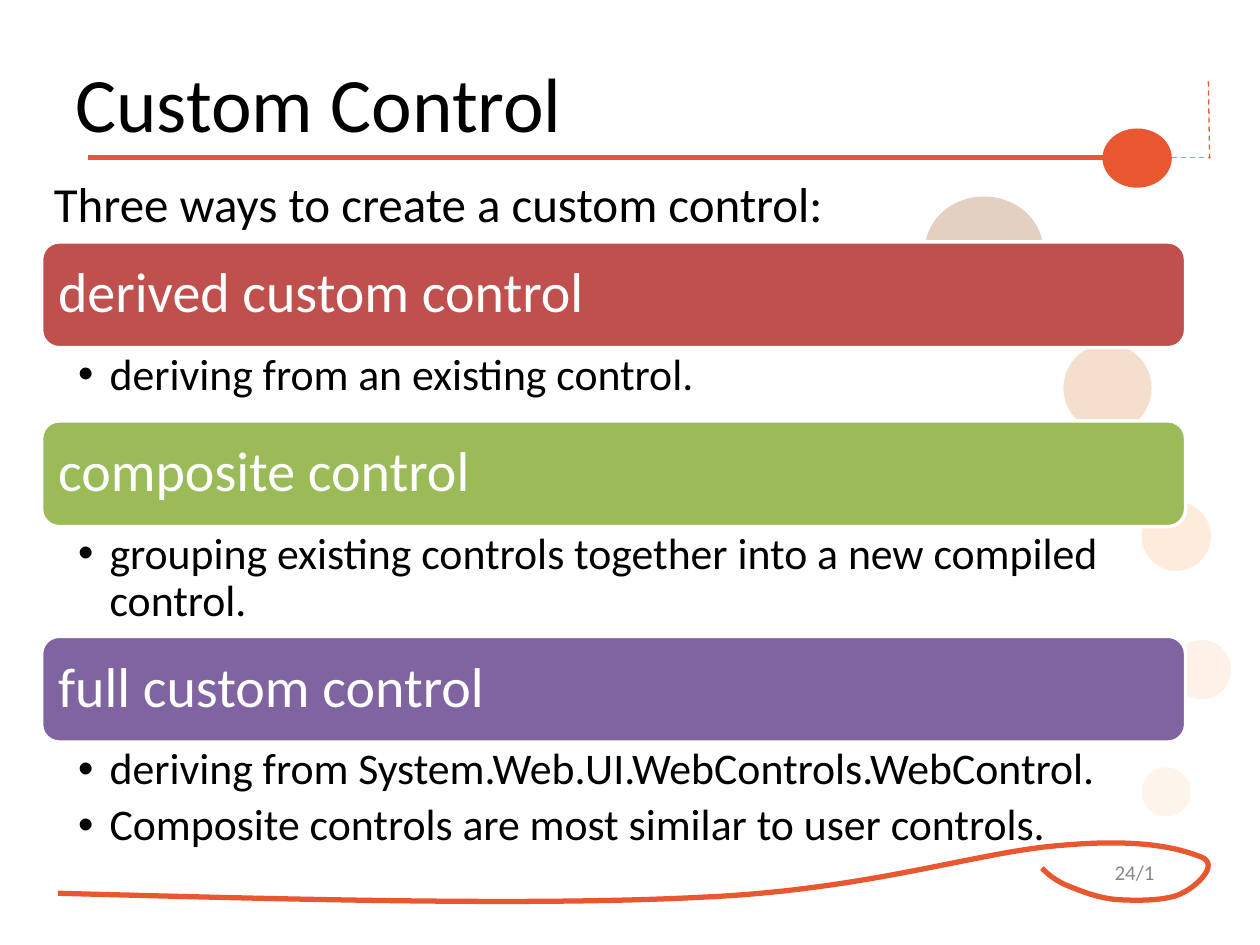
from lxml.etree import SubElement
from pptx import Presentation
from pptx.dml.color import RGBColor
from pptx.enum.dml import MSO_LINE
from pptx.enum.shapes import MSO_CONNECTOR, MSO_SHAPE
from pptx.enum.text import MSO_ANCHOR, MSO_AUTO_SIZE, PP_ALIGN
from pptx.oxml.ns import qn
from pptx.util import Emu, Pt

PX = 9144  # 100 px to the inch
FONT = "Calibri"
BLACK = RGBColor(0x00, 0x00, 0x00)
WHITE = RGBColor(0xFF, 0xFF, 0xFF)
GRAY = RGBColor(0x88, 0x88, 0x88)
ORANGE = RGBColor(0xE8, 0x57, 0x30)
AMBER = RGBColor(0xF6, 0x90, 0x3C)
RED = RGBColor(0xBF, 0x50, 0x4D)
GREEN = RGBColor(0x9B, 0xBB, 0x59)
PURPLE = RGBColor(0x80, 0x64, 0xA2)

# Left, top, width, height, colour, opacity in percent
DOTS = [
    (734, 156, 94, 86, RGBColor(0x90, 0x44, 0x06), 25),
    (844, 273, 70, 70, RGBColor(0xC8, 0x5F, 0x08), 20),
    (906, 398, 55, 55, RGBColor(0xF5, 0x7B, 0x17), 15),
    (930, 508, 47, 47, RGBColor(0xF6, 0x7B, 0x16), 10),
    (906, 609, 39, 39, RGBColor(0xF5, 0x95, 0x45), 10),
    (875, 102, 55, 47, ORANGE, 100),
]

# Start, then two handles and an end for each curve
SWIRL = [
    (46, 709),
    (236, 714), (426, 719), (559, 712),
    (691, 706), (776, 676), (842, 671),
    (908, 665), (937, 674), (953, 680),
    (969, 686), (949, 704), (938, 709),
    (927, 715), (902, 715), (887, 714),
    (871, 713), (855, 706), (845, 702),
    (835, 697), (831, 693), (827, 689),
]

# Heading, colour, body height, bullet points
WAYS = [
    ("derived custom control", RED, 58,
     ["deriving from an existing control."]),
    ("composite control", GREEN, 87,
     ["grouping existing controls together into a new compiled control."]),
    ("full custom control", PURPLE, 94,
     ["deriving from System.Web.UI.WebControls.WebControl.",
      "Composite controls are most similar to user controls."]),
]
LEFT, TOP, WIDTH, BAR = 33, 192, 908, 84


def emu(*sizes):
    return [Emu(size * PX) for size in sizes]


def write(shape, lines, size, color=BLACK, inset=(10, 5, 10, 5), align=PP_ALIGN.LEFT,
          anchor=MSO_ANCHOR.TOP, spacing=None, bullet=False):
    frame = shape.text_frame
    frame.word_wrap = True
    frame.vertical_anchor = anchor
    (frame.margin_left, frame.margin_top,
     frame.margin_right, frame.margin_bottom) = emu(*inset)
    for row, line in enumerate(lines):
        para = frame.add_paragraph() if row else frame.paragraphs[0]
        para.alignment = align
        para.line_spacing = spacing
        run = para.add_run()
        run.text = line
        run.font.name = FONT
        run.font.size = Pt(size)
        run.font.color.rgb = color
        if bullet:
            para.level = 1
            para.space_before = Pt(5 if row else 0)
            props = para._p.get_or_add_pPr()
            props.set("marL", str(25 * PX))
            props.set("indent", str(-25 * PX))
            SubElement(props, qn("a:buFont"), typeface="Arial")
            SubElement(props, qn("a:buChar"), char="•")


def add_text(slide, box, lines, size, **style):
    shape = slide.shapes.add_textbox(*emu(*box))
    write(shape, lines, size, **style)
    return shape


def add_dot(slide, left, top, width, height, color, alpha):
    dot = slide.shapes.add_shape(MSO_SHAPE.OVAL, *emu(left, top, width, height))
    dot.shadow.inherit = False
    dot.fill.solid()
    dot.fill.fore_color.rgb = color
    dot.line.fill.background()
    if alpha < 100:
        tint = dot._element.spPr.find(qn("a:solidFill"))[0]
        SubElement(tint, qn("a:alpha"), val=str(alpha * 1000))


def add_line(slide, ends, color, width, dash=None):
    line = slide.shapes.add_connector(MSO_CONNECTOR.STRAIGHT, *emu(*ends))
    line.line.color.rgb = color
    line.line.width = Pt(width)
    line.line.dash_style = dash
    SubElement(line._element.spPr, qn("a:effectLst"))


def add_curve(slide, points, color, width):
    pen = slide.shapes.build_freeform(*points[0], scale=PX)
    pen.add_line_segments(points[1:], close=False)
    curve = pen.convert_to_shape()
    curve.shadow.inherit = False
    curve.fill.background()
    curve.line.color.rgb = color
    curve.line.width = Pt(width)
    # Turn each three straight steps into one Bezier curve
    trace = curve._element.spPr.find(".//" + qn("a:path"))
    steps = trace.findall(qn("a:lnTo"))
    for start in range(0, len(steps), 3):
        bend = SubElement(trace, qn("a:cubicBezTo"))
        for step in steps[start:start + 3]:
            bend.append(step[0])
            trace.remove(step)


def add_bar(slide, top, label, color):
    bar = slide.shapes.add_shape(MSO_SHAPE.ROUNDED_RECTANGLE,
                                 *emu(LEFT, top, WIDTH, BAR))
    bar.shadow.inherit = False
    bar.adjustments[0] = 0.167
    bar.fill.solid()
    bar.fill.fore_color.rgb = color
    bar.line.color.rgb = WHITE
    bar.line.width = Pt(2)
    write(bar, [label], 32, color=WHITE, inset=(9, 9, 9, 9),
          anchor=MSO_ANCHOR.MIDDLE, spacing=0.9)


def main():
    deck = Presentation()
    deck.slide_width, deck.slide_height = emu(1000, 750)
    slide = deck.slides.add_slide(deck.slide_layouts[6])

    # Page number and decoration
    add_text(slide, (867, 672, 67, 40), ["24/1"], 12, color=GRAY,
             align=PP_ALIGN.CENTER, anchor=MSO_ANCHOR.MIDDLE)
    add_curve(slide, SWIRL, ORANGE, 3)
    add_line(slide, (70, 125, 875, 125), ORANGE, 3)
    for dot in DOTS:
        add_dot(slide, *dot)
    add_line(slide, (930, 125, 961, 125), AMBER, 0.75, MSO_LINE.DASH)
    add_line(slide, (960, 126, 959, 62), ORANGE, 0.75, MSO_LINE.DASH)

    # Title
    add_text(slide, (50, 20, 908, 121), ["Custom Control"], 44,
             anchor=MSO_ANCHOR.MIDDLE)

    # Stacked headings with their points
    top = TOP
    for label, color, height, points in WAYS:
        add_bar(slide, top, label, color)
        add_text(slide, (LEFT, top + BAR, WIDTH, height), points, 25,
                 inset=(29, 4, 25, 4), spacing=0.9, bullet=True)
        top += BAR + height

    # Lead-in
    lead = add_text(slide, (LEFT, 133, 637, 57),
                    ["Three ways to create a custom control:"], 28)
    lead.text_frame.auto_size = MSO_AUTO_SIZE.SHAPE_TO_FIT_TEXT

    deck.save("out.pptx")


if __name__ == "__main__":
    main()
